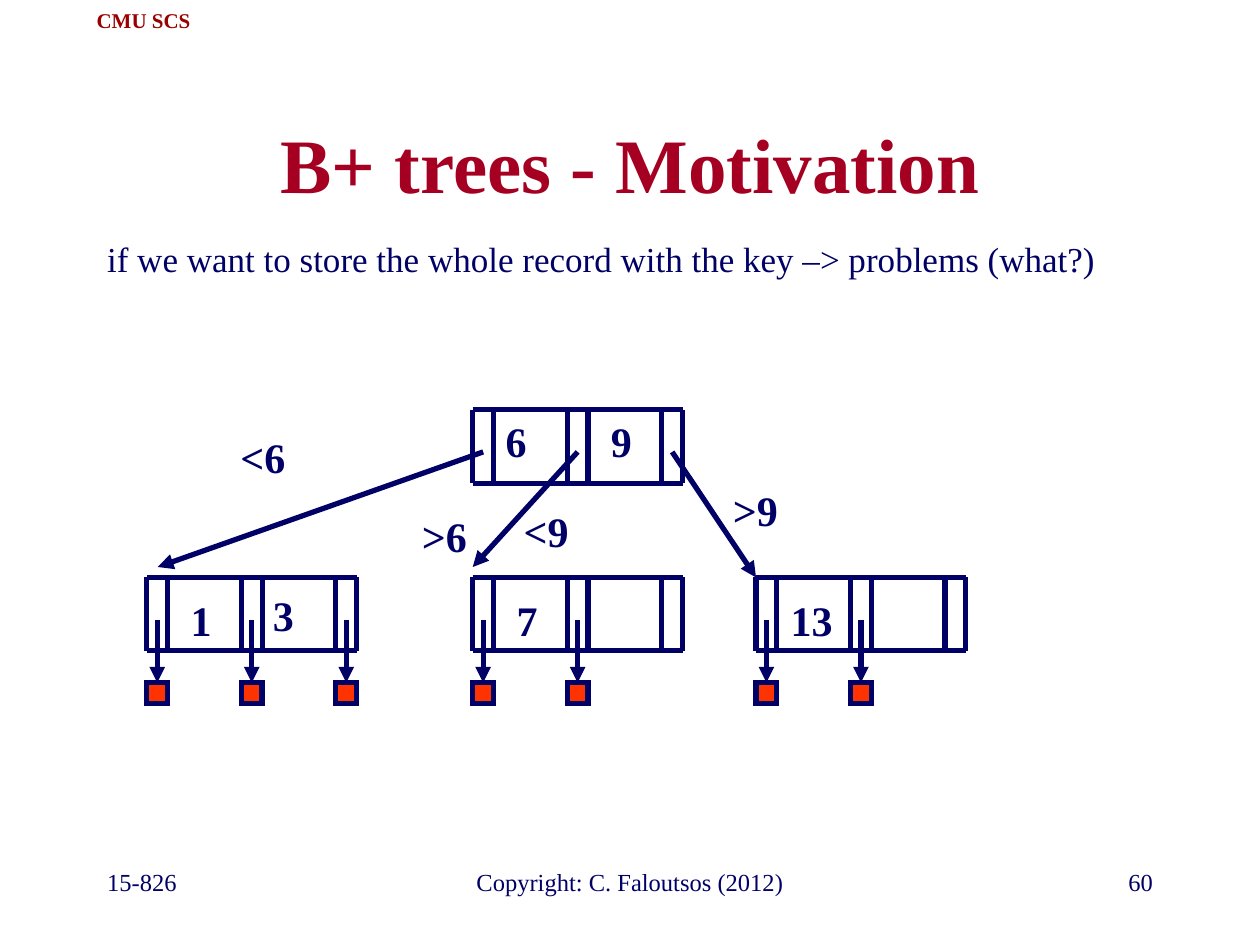
from pptx import Presentation
from pptx.dml.color import RGBColor
from pptx.enum.shapes import MSO_CONNECTOR as Connector, MSO_SHAPE as Shape
from pptx.enum.text import MSO_ANCHOR as Anchor, PP_ALIGN as Align
from pptx.oxml.ns import qn
from pptx.util import Cm, Pt
from lxml.etree import SubElement

COLORS = {"ink": "000066", "title": "A50021", "header": "990000", "record": "FF3300"}
FONT = "Times New Roman"

# Node geometry in cm
SLOT = 0.42            # width of a pointer slot
PITCH = 1.905          # distance from one pointer slot to the next
NODE_HEIGHT = 1.48
POINTER_Y = 0.85       # where pointers start, below the node top
RECORD_Y = 2.12        # top of the records, below the node top
ROOT = (9.53, 8.26)
LEAF_TOP = 11.64
LABEL_HEIGHT = 1.27

# Each leaf: left edge, number of records, keys as (text, dx, dy)
LEAVES = [
    (2.96, 3, [("1", 0.64, 0.21), ("3", 2.3, 0.12)]),
    (9.53, 2, [("7", 0.64, 0.21)]),
    (15.24, 2, [("13", 0.42, 0.21)]),
]
ROOT_KEYS = [("6", 0.42, 0), ("9", 2.54, 0)]
BRANCH_ENDS = [(3.18, 11.43), (9.53, 11.43), (15.24, 11.64)]
BRANCH_LABELS = [("<6", 4.6, 8.58), (">6", 8.26, 10.16),
                 ("<9", 10.31, 10.06), (">9", 14.53, 9.65)]


def color(name):
    return RGBColor.from_string(COLORS[name])


def format_text(frame, text, size, ink="ink", bold=False, align=Align.LEFT):
    frame.text = text
    para = frame.paragraphs[0]
    para.alignment = align
    font = para.runs[0].font
    font.name, font.size, font.bold = FONT, Pt(size), bold
    font.color.rgb = color(ink)


def add_text(page, box, text, size, inset=0.25, anchor=Anchor.TOP, **style):
    frame = page.shapes.add_textbox(*map(Cm, box)).text_frame
    frame.word_wrap = True
    frame.margin_left = frame.margin_right = Cm(inset)
    frame.vertical_anchor = anchor
    format_text(frame, text, size, **style)


def add_label(page, text, left, top):
    width = 0.91 if len(text) == 1 else 1.4
    add_text(page, (left, top, width, LABEL_HEIGHT), text, 24,
             inset=0, bold=True, align=Align.CENTER)


def add_line(page, start, end, arrow=False):
    line = page.shapes.add_connector(Connector.STRAIGHT, *map(Cm, (*start, *end)))
    line.line.color.rgb = color("ink")
    line.line.width = Pt(3)
    if arrow:
        SubElement(line.line._get_or_add_ln(), qn("a:tailEnd"), type="triangle")
    SubElement(line._element.spPr, qn("a:effectLst"))


def add_node(page, left, top, keys):
    """Three pointer slots with two key cells between them."""
    for slot in range(3):
        for x in (left + slot * PITCH, left + slot * PITCH + SLOT):
            add_line(page, (x, top), (x, top + NODE_HEIGHT))
    right = left + 2 * PITCH + SLOT
    for y in (top, top + NODE_HEIGHT):
        add_line(page, (left, y), (right, y))
    for text, dx, dy in keys:
        add_label(page, text, left + dx, top + dy)


def add_records(page, left, top, count):
    """Records below a leaf, each with the arrow pointing to it."""
    for slot in range(count):
        x = left + slot * PITCH
        middle = x + SLOT / 2
        add_line(page, (middle, top + POINTER_Y), (middle, top + RECORD_Y), arrow=True)
        record = page.shapes.add_shape(
            Shape.RECTANGLE, *map(Cm, (x, top + RECORD_Y, SLOT, SLOT)))
        record.shadow.inherit = False
        record.fill.solid()
        record.fill.fore_color.rgb = color("record")
        record.line.color.rgb = color("ink")
        record.line.width = Pt(3)
        # Square corners
        SubElement(record.line._get_or_add_ln(), qn("a:miter"), lim="800000")


def add_tree(page):
    left, top = ROOT
    add_node(page, left, top, ROOT_KEYS)
    for leaf_left, count, keys in LEAVES:
        add_node(page, leaf_left, LEAF_TOP, keys)
        add_records(page, leaf_left, LEAF_TOP, count)
    # Branches from the root's pointer slots
    for slot, end in enumerate(BRANCH_ENDS):
        start = (left + slot * PITCH + SLOT / 2, top + POINTER_Y)
        add_line(page, start, end, arrow=True)
    for label in BRANCH_LABELS:
        add_label(page, *label)


def add_heading(page):
    add_text(page, (1.7, 0, 2.39, 0.81), "CMU SCS", 12, inset=0,
             anchor=Anchor.MIDDLE, ink="header", bold=True, align=Align.CENTER)
    title = page.shapes.title
    title.left, title.top, title.width, title.height = map(Cm, (1.91, 1.69, 21.59, 3.18))
    title.text_frame.vertical_anchor = Anchor.MIDDLE
    format_text(title.text_frame, "B+ trees - Motivation", 44, ink="title",
                bold=True, align=Align.CENTER)
    add_text(page, (1.91, 4.66, 21.59, 1.69),
             "if we want to store the whole record with the key –> problems (what?)", 20)


def add_footer(page, top, height):
    for left, width, text, align in [
        (1.91, 5.29, "15-826", Align.LEFT),
        (8.68, 8.04, "Copyright: C. Faloutsos (2012)", Align.CENTER),
        (18.2, 5.29, "60", Align.RIGHT),
    ]:
        add_text(page, (left, top, width, height), text, 14, align=align)


def main():
    deck = Presentation()
    deck.slide_width, deck.slide_height = Cm(25.4), Cm(19.05)
    page = deck.slides.add_slide(deck.slide_layouts[5])
    add_heading(page)
    add_tree(page)
    add_footer(page, 17.36, 1.27)
    deck.save("out.pptx")


if __name__ == "__main__":
    main()
